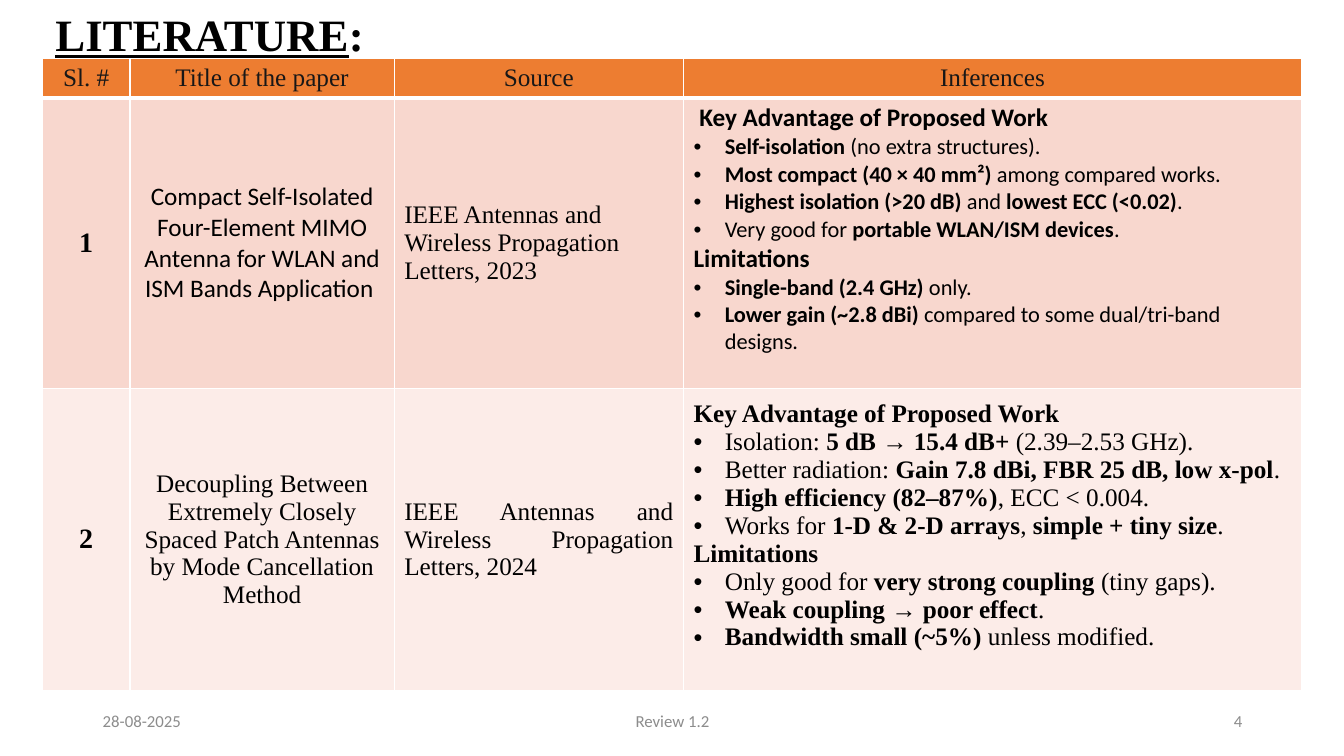
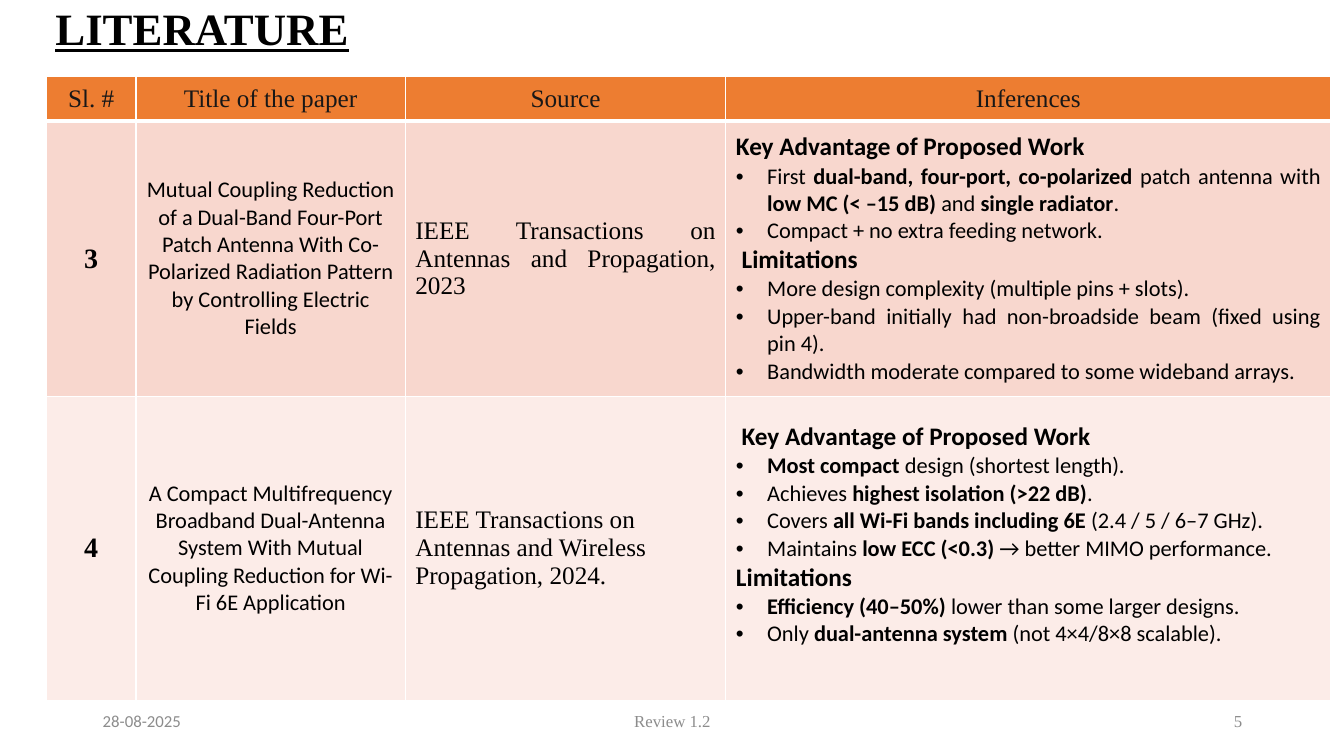
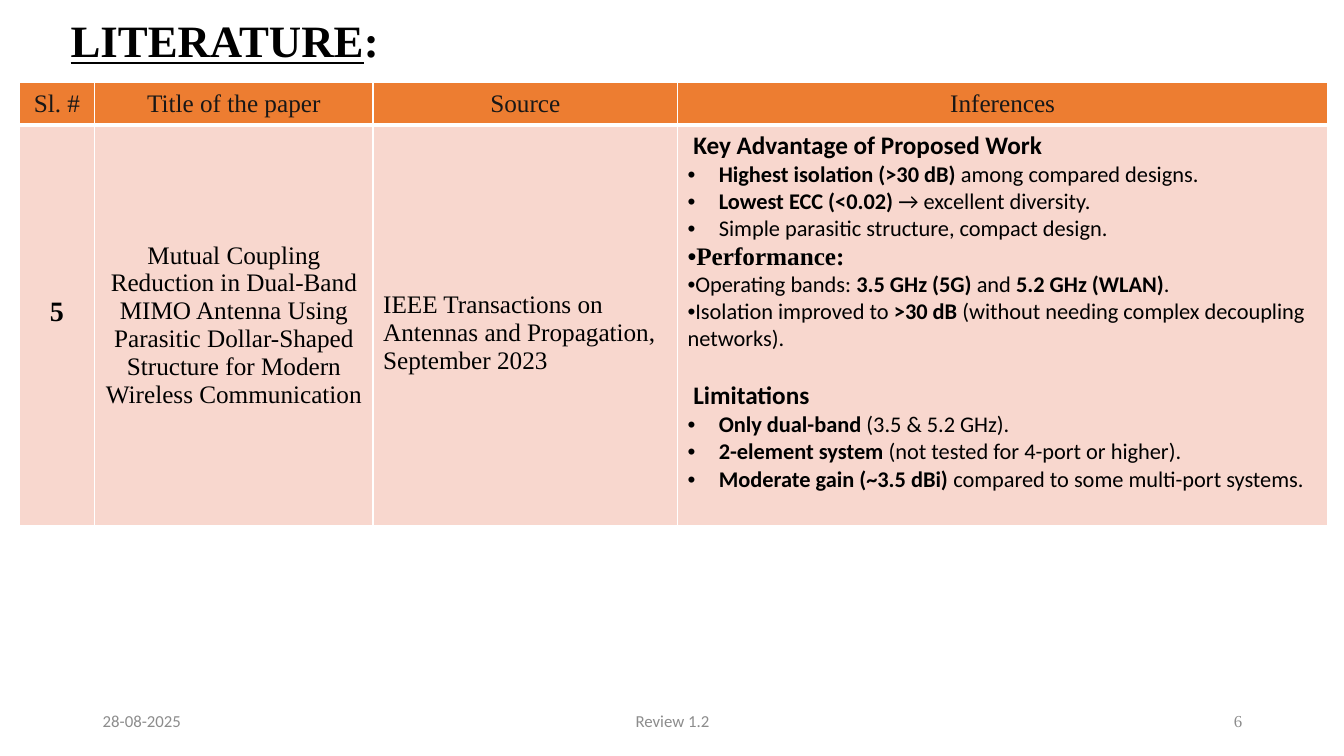
from dataclasses import dataclass

from lxml import etree
from pptx import Presentation
from pptx.dml.color import RGBColor
from pptx.enum.text import MSO_ANCHOR, MSO_AUTO_SIZE, PP_ALIGN
from pptx.oxml.ns import qn
from pptx.util import Inches, Pt

LEFT, CENTER, RIGHT, JUSTIFY = PP_ALIGN.LEFT, PP_ALIGN.CENTER, PP_ALIGN.RIGHT, PP_ALIGN.JUSTIFY
MIDDLE, NO_AUTOFIT = MSO_ANCHOR.MIDDLE, MSO_AUTO_SIZE.NONE
SERIF, SANS = "Times New Roman", "Calibri"


# ---- Theme ----
@dataclass(frozen=True)
class Theme:
    ink: str = "000000"
    header_ink: str = "181717"
    footer_ink: str = "8C8C8C"
    header_fill: str = "ED7D31"
    row_fills: tuple = ("F8D7CE", "FCECE8")
    border: str = "FFFFFF"
    title_size: int = 32
    number_size: int = 20
    text_size: int = 18
    item_size: int = 16
    footer_size: int = 12
    hanging: float = 0.31
    margin: float = 0.05
    spare_line: float = 0.27


@dataclass(frozen=True)
class Kind:
    """Kind of line in the inferences column."""
    heading: bool = False
    bullet: bool = False
    hanging: float = 0
    before: float = 0
    font: str = ""


THEME = Theme()
HEAD = Kind(heading=True)
SPACED_HEAD = Kind(heading=True, before=19.5)
ITEM = Kind(bullet=True, hanging=THEME.hanging)
FLUSH = Kind(bullet=True)
FLUSH_HEAD = Kind(heading=True, bullet=True, font=SERIF)


@dataclass
class Paper:
    number: str
    title: str
    source: str
    inferences: list
    title_font: str = SANS
    title_size: int = THEME.text_size
    align: int = LEFT
    font: str = SANS
    item_size: int = THEME.item_size
    lift: float = THEME.spare_line
    number_lift: float = 0
    source_drop: float = 0


# ---- Builder ----
class Deck:
    HEADINGS = ("Sl. #", "Title of the paper", "Source", "Inferences")

    def __init__(self, theme):
        self.theme = theme
        self.prs = Presentation()
        self.prs.slide_width, self.prs.slide_height = Inches(13.33), Inches(7.5)
        self.slide = None

    def new_slide(self):
        self.slide = self.prs.slides.add_slide(self.prs.slide_layouts[5])

    def style(self, run, size, font, color, bold=False):
        run.font.size, run.font.name, run.font.bold = Pt(size), font, bold
        run.font.color.rgb = RGBColor.from_string(color)

    def line(self, paragraph, text, size, font, color, align=LEFT, bold=False):
        """Fill a paragraph; parts between ** marks are bold."""
        paragraph.alignment = align
        for i, part in enumerate(text.split("**")):
            if part:
                run = paragraph.add_run()
                run.text = part
                self.style(run, size, font, color, bold or i % 2 == 1)

    def bullet(self, paragraph, hanging):
        props = paragraph._p.get_or_add_pPr()
        props.set("marL", str(Inches(hanging)))
        props.set("indent", str(-Inches(hanging)))
        etree.SubElement(props, qn("a:buFont")).set("typeface", "Arial")
        etree.SubElement(props, qn("a:buChar")).set("char", "•")

    def title(self, left, top, width, height, ending=""):
        heading = self.slide.shapes.title
        heading.left, heading.top = Inches(left), Inches(top)
        heading.width, heading.height = Inches(width), Inches(height)
        frame = heading.text_frame
        frame.auto_size, frame.vertical_anchor = NO_AUTOFIT, MIDDLE
        paragraph = frame.paragraphs[0]
        paragraph.line_spacing = 0.9
        self.line(paragraph, "**LITERATURE**" + ending, self.theme.title_size,
                  SERIF, self.theme.ink, bold=True)
        paragraph.runs[0].font.underline = True

    def footer(self, number, review_font=SANS, number_font=SERIF):
        for text, left, width, align, font in (
                ("28-08-2025", 0.92, 3, LEFT, SANS),
                ("Review 1.2", 4.42, 4.5, CENTER, review_font),
                (number, 9.42, 3, RIGHT, number_font)):
            box = self.slide.shapes.add_textbox(Inches(left), Inches(6.95), Inches(width), Inches(0.4))
            frame = box.text_frame
            frame.word_wrap, frame.vertical_anchor = True, MIDDLE
            self.line(frame.paragraphs[0], text, self.theme.footer_size, font,
                      self.theme.footer_ink, align)

    def cell(self, cell, fill, bottom_border=1, drop=0, lift=0):
        """Prepare a cell and return its text frame."""
        props = cell._tc.get_or_add_tcPr()
        for side, weight in (("L", 1), ("R", 1), ("T", 1), ("B", bottom_border)):
            edge = etree.SubElement(props, qn("a:ln" + side), w=str(Pt(weight)))
            paint = etree.SubElement(edge, qn("a:solidFill"))
            etree.SubElement(paint, qn("a:srgbClr"), val=self.theme.border)
        cell.fill.solid()
        cell.fill.fore_color.rgb = RGBColor.from_string(fill)
        cell.vertical_anchor = MIDDLE
        cell.margin_top = Inches(self.theme.margin + drop)
        cell.margin_bottom = Inches(self.theme.margin + lift)
        return cell.text_frame

    def inferences(self, frame, paper):
        for i, (kind, text) in enumerate(paper.inferences):
            paragraph = frame.add_paragraph() if i else frame.paragraphs[0]
            if kind.bullet:
                self.bullet(paragraph, kind.hanging)
            if kind.before:
                paragraph.space_before = Pt(kind.before)
            size = self.theme.text_size if kind.heading else paper.item_size
            self.line(paragraph, text, size, kind.font or paper.font,
                      self.theme.ink, paper.align, kind.heading)

    def papers(self, left, top, widths, heights, papers):
        t = self.theme
        table = self.slide.shapes.add_table(
            len(heights), len(widths), Inches(left), Inches(top),
            Inches(sum(widths)), Inches(sum(heights))).table
        table.horz_banding = False
        for column, width in zip(table.columns, widths):
            column.width = Inches(width)
        for row, height in zip(table.rows, heights):
            row.height = Inches(height)
        for col, heading in enumerate(self.HEADINGS):
            frame = self.cell(table.cell(0, col), t.header_fill, bottom_border=3)
            self.line(frame.paragraphs[0], heading, t.text_size, SERIF, t.header_ink, CENTER)
        for row, paper in enumerate(papers, 1):
            fill = t.row_fills[(row - 1) % 2]
            number = self.cell(table.cell(row, 0), fill, lift=paper.number_lift)
            self.line(number.paragraphs[0], paper.number, t.number_size, SERIF, t.ink, CENTER, True)
            name = self.cell(table.cell(row, 1), fill)
            self.line(name.paragraphs[0], paper.title, paper.title_size, paper.title_font, t.ink, CENTER)
            source = self.cell(table.cell(row, 2), fill, drop=paper.source_drop)
            self.line(source.paragraphs[0], paper.source, t.text_size, SERIF, t.ink, paper.align)
            self.inferences(self.cell(table.cell(row, 3), fill, lift=paper.lift), paper)


# ---- Content ----
SELF_ISOLATED = Paper(
    "1", "Compact Self-Isolated Four-Element MIMO Antenna for WLAN and ISM Bands Application ",
    "IEEE Antennas and Wireless Propagation Letters, 2023",
    [(HEAD, " Key Advantage of Proposed Work"),
     (ITEM, "**Self-isolation** (no extra structures)."),
     (ITEM, "**Most compact (40 × 40 mm²)** among compared works."),
     (ITEM, "**Highest isolation (>20 dB)** and **lowest ECC (<0.02)**."),
     (ITEM, "Very good for **portable WLAN/ISM devices**."),
     (HEAD, "Limitations"),
     (ITEM, "**Single-band (2.4 GHz)** only."),
     (ITEM, "**Lower gain (~2.8 dBi)** compared to some dual/tri-band designs.")])

MODE_CANCELLATION = Paper(
    "2", "Decoupling Between Extremely Closely Spaced Patch Antennas by Mode Cancellation Method",
    "IEEE Antennas and Wireless Propagation Letters, 2024",
    [(HEAD, "Key Advantage of Proposed Work"),
     (ITEM, "Isolation: **5 dB → 15.4 dB+** (2.39–2.53 GHz)."),
     (ITEM, "Better radiation: **Gain 7.8 dBi, FBR 25 dB, low x-pol**."),
     (ITEM, "**High efficiency (82–87%)**, ECC < 0.004."),
     (ITEM, "Works for **1-D & 2-D arrays**, **simple + tiny size**."),
     (HEAD, "Limitations"),
     (ITEM, "Only good for **very strong coupling** (tiny gaps)."),
     (ITEM, "**Weak coupling → poor effect**."),
     (ITEM, "**Bandwidth small (~5%)** unless modified.")],
    title_font=SERIF, align=JUSTIFY, font=SERIF, item_size=THEME.text_size)

CO_POLARIZED = Paper(
    "3", "Mutual Coupling Reduction of a Dual-Band Four-Port Patch Antenna With "
         "Co-Polarized Radiation Pattern by Controlling Electric Fields",
    "IEEE Transactions on Antennas and Propagation, 2023",
    [(HEAD, "Key Advantage of Proposed Work"),
     (ITEM, "First **dual-band, four-port, co-polarized** patch antenna with "
            "**low MC (< –15 dB)** and **single radiator**."),
     (ITEM, "Compact + no extra feeding network."),
     (HEAD, " Limitations"),
     (ITEM, "More design complexity (multiple pins + slots)."),
     (ITEM, "Upper-band initially had non-broadside beam (fixed using pin 4)."),
     (ITEM, "Bandwidth moderate compared to some wideband arrays.")],
    title_size=THEME.item_size, align=JUSTIFY, lift=0)

MULTIFREQUENCY = Paper(
    "4", "A Compact Multifrequency Broadband Dual-Antenna System With Mutual "
         "Coupling Reduction for Wi-Fi 6E Application",
    "IEEE Transactions on Antennas and Wireless Propagation, 2024.",
    [(HEAD, " Key Advantage of Proposed Work"),
     (ITEM, "**Most compact** design (shortest length)."),
     (ITEM, "Achieves **highest isolation (>22 dB)**."),
     (ITEM, "Covers **all Wi-Fi bands including 6E** (2.4 / 5 / 6–7 GHz)."),
     (ITEM, "Maintains **low ECC (<0.3)** → better MIMO performance."),
     (HEAD, "Limitations"),
     (ITEM, "**Efficiency (40–50%)** lower than some larger designs."),
     (ITEM, "Only **dual-antenna system** (not 4×4/8×8 scalable).")],
    title_size=THEME.item_size)

PARASITIC = Paper(
    "5", "Mutual Coupling Reduction in Dual-Band MIMO Antenna Using Parasitic "
         "Dollar-Shaped Structure for Modern Wireless Communication",
    "IEEE Transactions on Antennas and Propagation, September 2023",
    [(HEAD, " Key Advantage of Proposed Work"),
     (ITEM, "**Highest isolation (>30 dB)** among compared designs."),
     (ITEM, "**Lowest ECC (<0.02)** → excellent diversity."),
     (ITEM, "Simple parasitic structure, compact design."),
     (FLUSH_HEAD, "Performance:"),
     (FLUSH, "Operating bands: **3.5 GHz (5G)** and **5.2 GHz (WLAN)**."),
     (FLUSH, "Isolation improved to **>30 dB** (without needing complex decoupling networks)."),
     (SPACED_HEAD, " Limitations"),
     (ITEM, "**Only dual-band** (3.5 & 5.2 GHz)."),
     (ITEM, "**2-element system** (not tested for 4-port or higher)."),
     (ITEM, "**Moderate gain (~3.5 dBi)** compared to some multi-port systems.")],
    title_font=SERIF, number_lift=THEME.spare_line, source_drop=0.16)


def main():
    deck = Deck(THEME)

    # Papers 1 and 2
    deck.new_slide()
    deck.title(0.45, -0.07, 11.5, 0.88, ":")
    deck.papers(0.42, 0.58, (0.87, 2.62, 2.87, 6.13), (0.39, 2.85, 3),
                (SELF_ISOLATED, MODE_CANCELLATION))
    deck.footer("4", number_font=SANS)

    # Papers 3 and 4
    deck.new_slide()
    deck.title(0.45, -0.13, 11.5, 0.88)
    deck.papers(0.46, 0.76, (0.89, 2.67, 3.18, 6), (0.44, 2.73, 3.02),
                (CO_POLARIZED, MULTIFREQUENCY))
    deck.footer("5", review_font=SERIF)

    # Paper 5
    deck.new_slide()
    deck.title(0.6, 0.11, 3.5, 0.64, ":")
    deck.papers(0.19, 0.82, (0.75, 2.76, 3.02, 6.45), (0.42, 3.94), (PARASITIC,))
    deck.footer("6")

    deck.prs.save("out.pptx")


if __name__ == "__main__":
    main()
